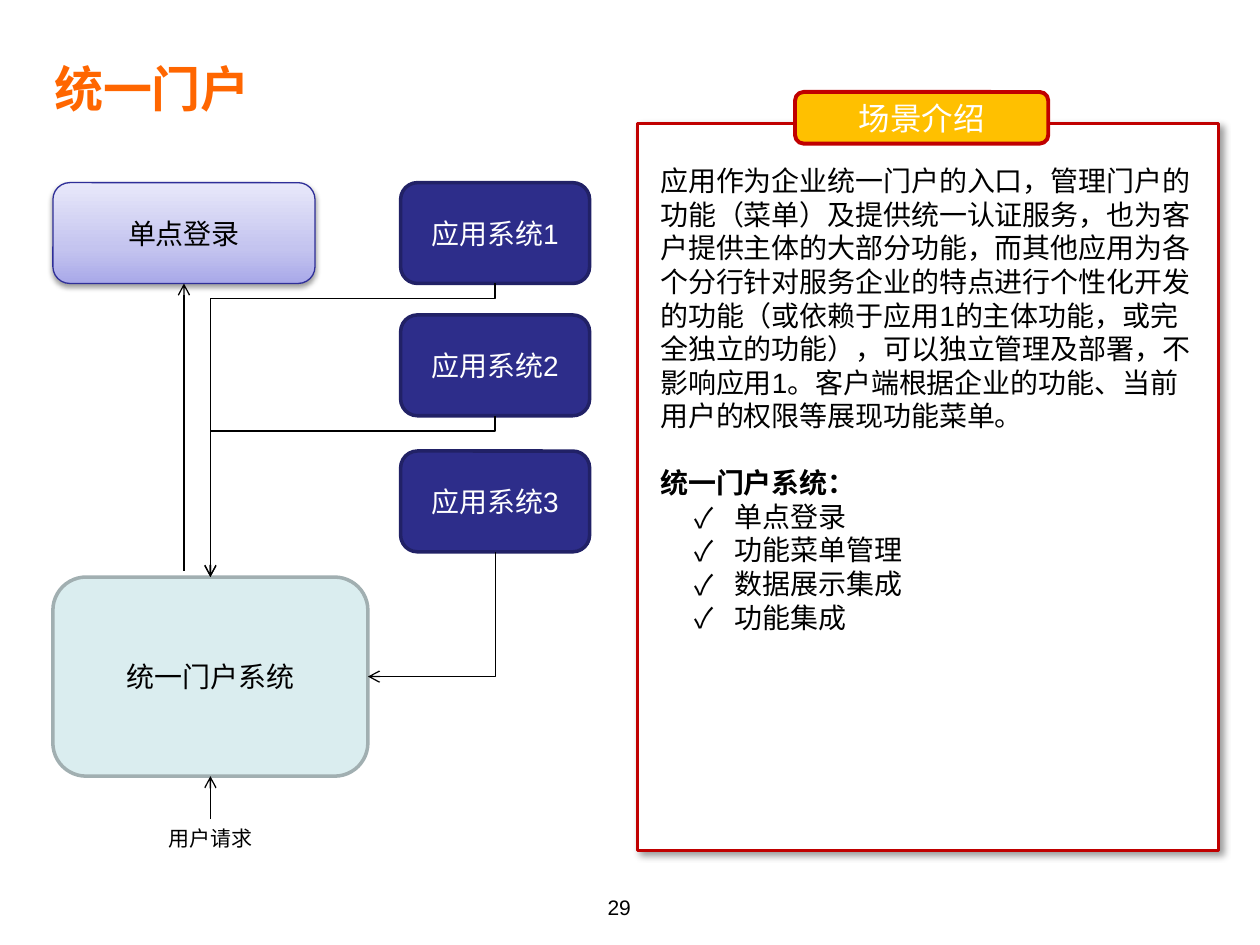
from copy import deepcopy

from lxml.etree import SubElement
from pptx import Presentation
from pptx.dml.color import RGBColor
from pptx.enum.shapes import MSO_CONNECTOR, MSO_SHAPE
from pptx.enum.text import MSO_ANCHOR, PP_ALIGN
from pptx.oxml.ns import qn
from pptx.util import Inches, Pt

COLORS = {
    "title": "FF6600", "black": "000000", "white": "FFFFFF",
    "portal": "DAEDEF", "portal_line": "A1AFB1",
    "system": "2D2D8A", "system_line": "212166", "login_line": "2F2F98",
    "panel_line": "C00000", "label": "FFC000",
}
LOGIN_GRADIENT = [(0, "A9A9E9"), (0.35, "C4C4EF"), (1, "E8E8FA")]
EAST_ASIAN_FONT = "Noto Sans CJK SC"

TITLE = "统一门户"
DESCRIPTION = (
    "应用作为企业统一门户的入口，管理门户的功能（菜单）及提供统一认证服务，"
    "也为客户提供主体的大部分功能，而其他应用为各个分行针对服务企业的特点进行个性化开发的功能"
    "（或依赖于应用1的主体功能，或完全独立的功能），可以独立管理及部署，不影响应用1。"
    "客户端根据企业的功能、当前用户的权限等展现功能菜单。"
)
LIST_HEADING = "统一门户系统："
FEATURES = ["单点登录", "功能菜单管理", "数据展示集成", "功能集成"]
SYSTEMS = [("应用系统1", 1.45), ("应用系统2", 2.5), ("应用系统3", 3.58)]

SYSTEM_LEFT, SYSTEM_WIDTH, BOX_HEIGHT = 3.18, 1.5, 0.8
LOGIN = (0.42, 1.45, 2.08, BOX_HEIGHT)
PORTAL = (0.42, 4.58, 2.5, 1.58)
PANEL = (5.06, 0.98, 4.61, 5.77)
PANEL_LABEL = (6.31, 0.73, 2.01, 0.41)
ELBOW_DROP = 0.12


def rgb(name):
    return RGBColor.from_string(COLORS[name])


def add_text(paragraph, text, size=16, color="black", bold=False, font="Arial", align=None, before=0):
    paragraph.alignment = align
    paragraph.space_before = Pt(before)
    run = paragraph.add_run()
    run.text = text
    run.font.size = Pt(size)
    run.font.bold = bold
    run.font.color.rgb = rgb(color)
    run.font.name = font
    SubElement(run.font._element, qn("a:ea"), typeface=EAST_ASIAN_FONT)


def place(shape, box):
    shape.left, shape.top, shape.width, shape.height = map(Inches, box)


def add_label(slide, box, text, **text_format):
    frame = slide.shapes.add_textbox(*map(Inches, box)).text_frame
    frame.word_wrap = True
    add_text(frame.paragraphs[0], text, align=PP_ALIGN.CENTER, **text_format)
    return frame


def add_box(slide, box, fill, line, line_width, text=None, kind=MSO_SHAPE.ROUNDED_RECTANGLE, **text_format):
    shape = slide.shapes.add_shape(kind, *map(Inches, box))
    shape.shadow.inherit = False
    shape.fill.solid()
    shape.fill.fore_color.rgb = rgb(fill)
    shape.line.color.rgb = rgb(line)
    shape.line.width = Pt(line_width)
    if text:
        frame = shape.text_frame
        frame.word_wrap = False
        frame.vertical_anchor = MSO_ANCHOR.MIDDLE
        add_text(frame.paragraphs[0], text, align=PP_ALIGN.CENTER, **text_format)
    return shape


def add_shadow(shape, opacity, blur, distance, angle):
    effects = shape._element.spPr.find(qn("a:effectLst"))
    shadow = SubElement(effects, qn("a:outerShdw"), blurRad=str(Pt(blur)), dist=str(Pt(distance)),
                        dir=str(angle * 60000), algn="tl", rotWithShape="0")
    color = SubElement(shadow, qn("a:srgbClr"), val=COLORS["black"])
    SubElement(color, qn("a:alpha"), val=str(opacity * 1000))


def apply_gradient(shape, stops, angle):
    shape.fill.gradient()
    shape.fill.gradient_angle = angle
    stop_list = shape._element.spPr.find(qn("a:gradFill")).find(qn("a:gsLst"))
    stop_list.insert(1, deepcopy(stop_list[0]))
    for stop, (position, color) in zip(shape.fill.gradient_stops, stops):
        stop.position = position
        stop.color.rgb = RGBColor.from_string(color)


def add_arrow(slide, start, end, kind=MSO_CONNECTOR.STRAIGHT, arrow_end="a:tailEnd"):
    connector = slide.shapes.add_connector(kind, *map(Inches, start + end))
    connector.line.color.rgb = rgb("black")
    connector.line.width = Pt(0.75)
    properties = connector._element.spPr
    SubElement(properties.find(qn("a:ln")), qn(arrow_end), type="arrow")
    SubElement(properties, qn("a:effectLst"))
    return properties


def add_elbow(slide, start, end, bend_y):
    """Leave start upwards, turn at bend_y, then rise to end."""
    center_x, center_y = (start[0] + end[0]) / 2, (start[1] + end[1]) / 2
    half_width, half_height = (start[1] - end[1]) / 2, (end[0] - start[0]) / 2
    properties = add_arrow(slide, (center_x + half_width, center_y + half_height),
                           (center_x - half_width, center_y - half_height),
                           MSO_CONNECTOR.ELBOW, "a:headEnd")
    properties.find(qn("a:xfrm")).set("rot", "5400000")
    adjustments = properties.find(qn("a:prstGeom")).find(qn("a:avLst"))
    bend = round((start[1] - bend_y) / (start[1] - end[1]) * 100000)
    SubElement(adjustments, qn("a:gd"), name="adj1", fmla=f"val {bend}")


def set_bullet(paragraph, character=None, margin=0, indent=0):
    properties = paragraph._p.get_or_add_pPr()
    properties.set("marL", str(Inches(margin)))
    properties.set("indent", str(Inches(indent)))
    if character:
        SubElement(properties, qn("a:buFont"), typeface=EAST_ASIAN_FONT)
        SubElement(properties, qn("a:buChar"), char=character)
    else:
        SubElement(properties, qn("a:buNone"))


def fill_body(body):
    frame = body.text_frame
    frame.word_wrap = True
    frame.vertical_anchor = MSO_ANCHOR.TOP
    paragraph = frame.paragraphs[0]
    set_bullet(paragraph)
    add_text(paragraph, DESCRIPTION, align=PP_ALIGN.LEFT)
    paragraph = frame.add_paragraph()
    set_bullet(paragraph)
    add_text(paragraph, LIST_HEADING, bold=True, font=EAST_ASIAN_FONT, before=19)
    for feature in FEATURES:
        paragraph = frame.add_paragraph()
        set_bullet(paragraph, "✓", 0.59, -0.32)
        add_text(paragraph, feature, font=EAST_ASIAN_FONT)


def main():
    presentation = Presentation()
    presentation.slide_width, presentation.slide_height = Inches(10), Inches(7.5)
    slide = presentation.slides.add_slide(presentation.slide_layouts[1])
    title, body = slide.placeholders

    place(title, (0.33, 0.39, 9.42, 0.61))
    title.text_frame.vertical_anchor = MSO_ANCHOR.MIDDLE
    add_text(title.text_frame.paragraphs[0], TITLE, size=28, color="title", bold=True, align=PP_ALIGN.LEFT)
    page_number = add_label(slide, (3.75, 6.83, 2.33, 0.52), "29", size=12)
    page_number.vertical_anchor = MSO_ANCHOR.BOTTOM

    add_box(slide, PORTAL, "portal", "portal_line", 2, "统一门户系统")
    login = add_box(slide, LOGIN, "white", "login_line", 0.75, "单点登录")
    apply_gradient(login, LOGIN_GRADIENT, 90)
    add_shadow(login, 38, 3.1, 1.6, 90)
    for name, top in SYSTEMS:
        add_box(slide, (SYSTEM_LEFT, top, SYSTEM_WIDTH, BOX_HEIGHT), "system", "system_line", 2,
                name, color="white")

    left, top, width, height = PORTAL
    portal_x, system_x = left + width / 2, SYSTEM_LEFT + SYSTEM_WIDTH / 2
    login_x = LOGIN[0] + LOGIN[2] / 2
    add_arrow(slide, (portal_x, 6.5), (portal_x, top + height))
    add_label(slide, (portal_x - 0.5, 6.5, 1, 0.3), "用户请求", size=12)
    add_arrow(slide, (login_x, top - 0.05), (login_x, LOGIN[1] + BOX_HEIGHT))
    bottoms = [system_top + BOX_HEIGHT for _, system_top in SYSTEMS]
    for bottom in bottoms[:2]:
        add_elbow(slide, (portal_x, top), (system_x, bottom), bottom + ELBOW_DROP)
    corner = add_arrow(slide, (left + width, top + height / 2), (system_x, bottoms[2]),
                       MSO_CONNECTOR.ELBOW, "a:headEnd")
    corner.find(qn("a:prstGeom")).set("prst", "bentConnector2")

    panel = add_box(slide, PANEL, "white", "panel_line", 1.5, kind=MSO_SHAPE.RECTANGLE)
    add_shadow(panel, 40, 4, 3, 45)
    place(body, (5.14, 1.25, 4.52, 5.65))
    fill_body(body)
    slide.shapes._spTree.append(body._element)
    add_box(slide, PANEL_LABEL, "label", "panel_line", 2.25, "场景介绍", size=18, color="white",
            font=EAST_ASIAN_FONT)

    presentation.save("out.pptx")


if __name__ == "__main__":
    main()
